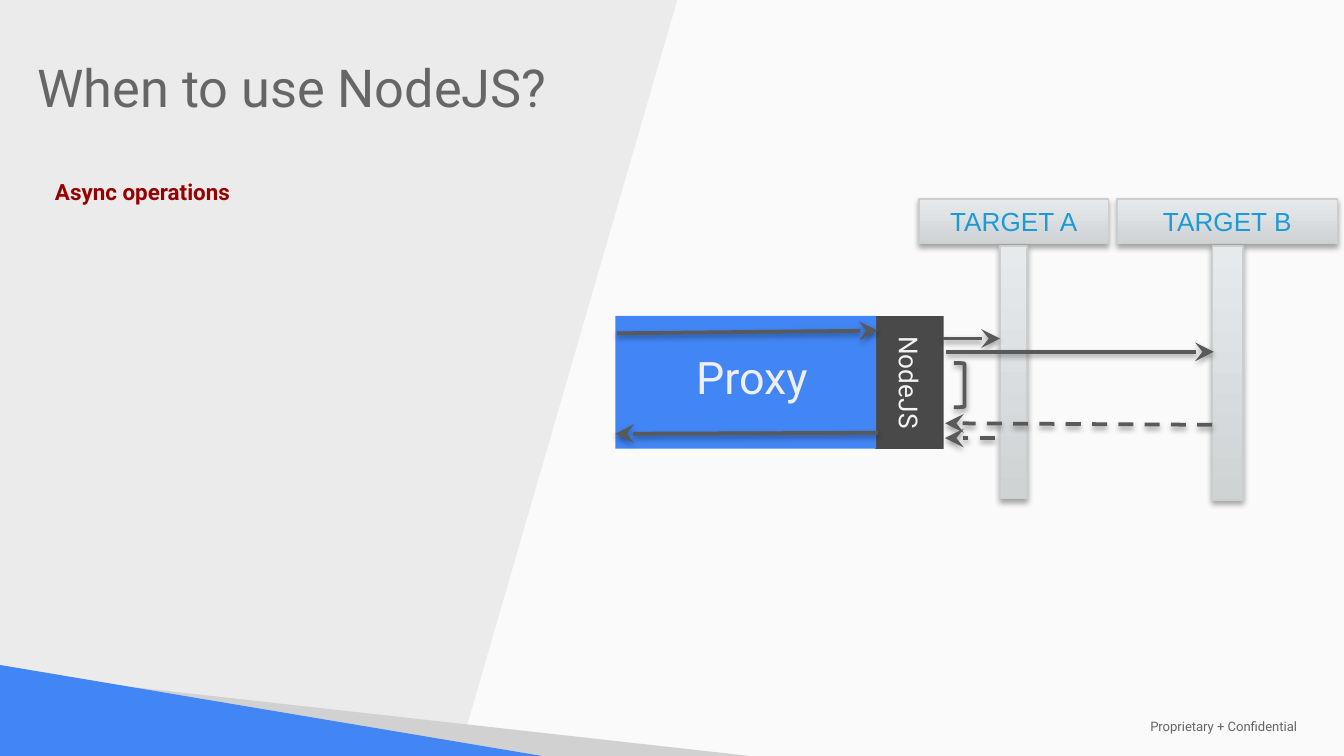
import pptx
import pptx.util
import pptx.dml.color
import pptx.enum.dml
import pptx.enum.shapes
import pptx.enum.text
import pptx.oxml
import pptx.oxml.ns

Cm, Pt = pptx.util.Cm, pptx.util.Pt
KIND = pptx.enum.shapes.MSO_SHAPE
SIDE = pptx.enum.text.PP_ALIGN
ANCHOR = pptx.enum.text.MSO_ANCHOR

# All places and sizes are in centimetres.
WIDE, HIGH = 25.4, 14.29
BLUE, INK = "4285F4", "595959"

BANDS = [
    ("EBEBEB", [(12.8, 0), (0, 0), (0, HIGH), (8.66, HIGH)]),
    ("D1D1D1", [(2.16, 12.95), (14.17, HIGH), (10.19, HIGH)]),
    (BLUE, [(0, 12.57), (0, HIGH), (10.24, HIGH)]),
]

# text, box, size, colour, bold, anchor, align, line spacing
LABELS = [
    ("When to use NodeJS?", (0.46, 0.38, 22.73, 2.11), 28, "666666", False,
     ANCHOR.BOTTOM, SIDE.LEFT, 1),
    ("Async operations", (0.79, 3.07, 9.22, 1.78), 12, "980000", True,
     ANCHOR.TOP, SIDE.LEFT, 1.1),
    ("Proprietary + Confidential", (21.49, 13.54, 3.78, 0.36), 7, "666666", False,
     ANCHOR.MIDDLE, SIDE.LEFT, 1),
    ("Proxy", (12.65, 6.58, 3.12, 1.07), 24, "EFEFEF", False,
     ANCHOR.MIDDLE, SIDE.CENTER, 1),
]

PROXY = (11.63, 5.97, 4.93, 2.51)
NODE = (15.93, 6.58, 2.51, 1.3)
BRACE = (18.03, 6.86, 0.2, 0.84)

# name, left and width of the head, left, width and height of the post
HEAD_TOP, HEAD_HIGH, POST_TOP = 3.76, 0.84, 4.65
TARGETS = [
    ("TARGET A", 17.37, 3.58, 18.9, 0.51, 4.78),
    ("TARGET B", 21.11, 4.17, 22.91, 0.58, 4.8),
]

# start, end, dashed
CALLS = [
    ((17.83, 6.4), (18.9, 6.4), False),
    ((17.88, 6.65), (22.94, 6.65), False),
    ((22.91, 8.03), (17.86, 8.0), True),
    ((18.8, 8.28), (17.86, 8.28), True),
    ((11.66, 6.3), (16.59, 6.25), False),
    ((16.59, 8.18), (11.63, 8.2), False),
]


def hue(code):
    return pptx.dml.color.RGBColor.from_string(code)


def node(tag, **attrs):
    item = pptx.oxml.parse_xml(f"<a:{tag} {pptx.oxml.ns.nsdecls('a')}/>")
    for key, value in attrs.items():
        item.set(key, str(value))
    return item


def shade(shape, alpha, dist):
    """Add a soft shadow that falls straight down."""
    glow = node("outerShdw", blurRad=Pt(3.1), dist=Pt(dist), dir=5400000,
                algn="ctr", rotWithShape=0)
    tint = node("srgbClr", val="000000")
    tint.append(node("alpha", val=alpha * 1000))
    glow.append(tint)
    group = node("effectLst")
    group.append(glow)
    shape._element.spPr.append(group)


def stroke(shape, code, width):
    shape.line.color.rgb = hue(code)
    shape.line.width = Pt(width)


def plain(shape, code):
    shape.shadow.inherit = False
    shape.fill.solid()
    shape.fill.fore_color.rgb = hue(code)
    shape.line.fill.background()


def write(shape, text, size, code, font="Roboto", bold=False,
          anchor=ANCHOR.MIDDLE, align=SIDE.CENTER, gap=1, inset=(0.25, 0.13)):
    frame = shape.text_frame
    frame.text = text
    frame.word_wrap = True
    frame.vertical_anchor = anchor
    frame.margin_left = frame.margin_right = Cm(inset[0])
    frame.margin_top = frame.margin_bottom = Cm(inset[1])
    para = frame.paragraphs[0]
    para.alignment = align
    para.line_spacing = gap
    face = para.runs[0].font
    face.name, face.size, face.bold = font, Pt(size), bold
    face.color.rgb = hue(code)


def add(kind, box):
    return shapes.add_shape(kind, *map(Cm, box))


def metal(box):
    """Add a bar that fades from light at the top to grey."""
    bar = add(KIND.RECTANGLE, box)
    bar.fill.gradient()
    bar.fill.gradient_angle = 90
    for stop, code in zip(bar.fill.gradient_stops, ("D0D3D4", "E6EAED")):
        stop.color.rgb = hue(code)
    stroke(bar, "CBCECF", 0.75)
    shade(bar, 35, 1.8)
    return bar


deck = pptx.Presentation()
deck.slide_width, deck.slide_height = Cm(WIDE), Cm(HIGH)
shapes = deck.slides.add_slide(deck.slide_layouts[6]).shapes

plain(add(KIND.RECTANGLE, (0, 0, WIDE, HIGH)), "FAFAFA")
for code, points in BANDS:
    first, *rest = [(Cm(x), Cm(y)) for x, y in points]
    band = shapes.build_freeform(*first)
    band.add_line_segments(rest, close=True)
    plain(band.convert_to_shape(), code)

script = add(KIND.RECTANGLE, NODE)
script.rotation = 90
plain(script, "494949")
write(script, "NodeJS", 14, "F3F3F3")
plain(add(KIND.RECTANGLE, PROXY), BLUE)

for text, box, size, code, bold, anchor, align, gap in LABELS:
    label = shapes.add_textbox(*map(Cm, box))
    write(label, text, size, code, bold=bold, anchor=anchor, align=align,
          gap=gap, inset=(0.25, 0.25))

for name, left, width, *_ in TARGETS:
    head = metal((left, HEAD_TOP, width, HEAD_HIGH))
    write(head, name, 14, "1C9AD6", font="Arial")
for *_, left, width, height in TARGETS:
    metal((left, POST_TOP, width, height))

for start, end, dashed in CALLS:
    arrow = shapes.add_connector(pptx.enum.shapes.MSO_CONNECTOR.STRAIGHT,
                                 *map(Cm, start + end))
    stroke(arrow, INK, 2)
    if dashed:
        arrow.line.dash_style = pptx.enum.dml.MSO_LINE.DASH
    arrow.line._get_or_add_ln().append(
        node("tailEnd", type="stealth", w="lg", len="lg"))
    shade(arrow, 38, 1.6)

brace = add(KIND.RIGHT_BRACKET, BRACE)
brace.adjustments[0] = 0.08
brace.fill.background()
stroke(brace, INK, 2)
shade(brace, 38, 1.6)

deck.save("out.pptx")
